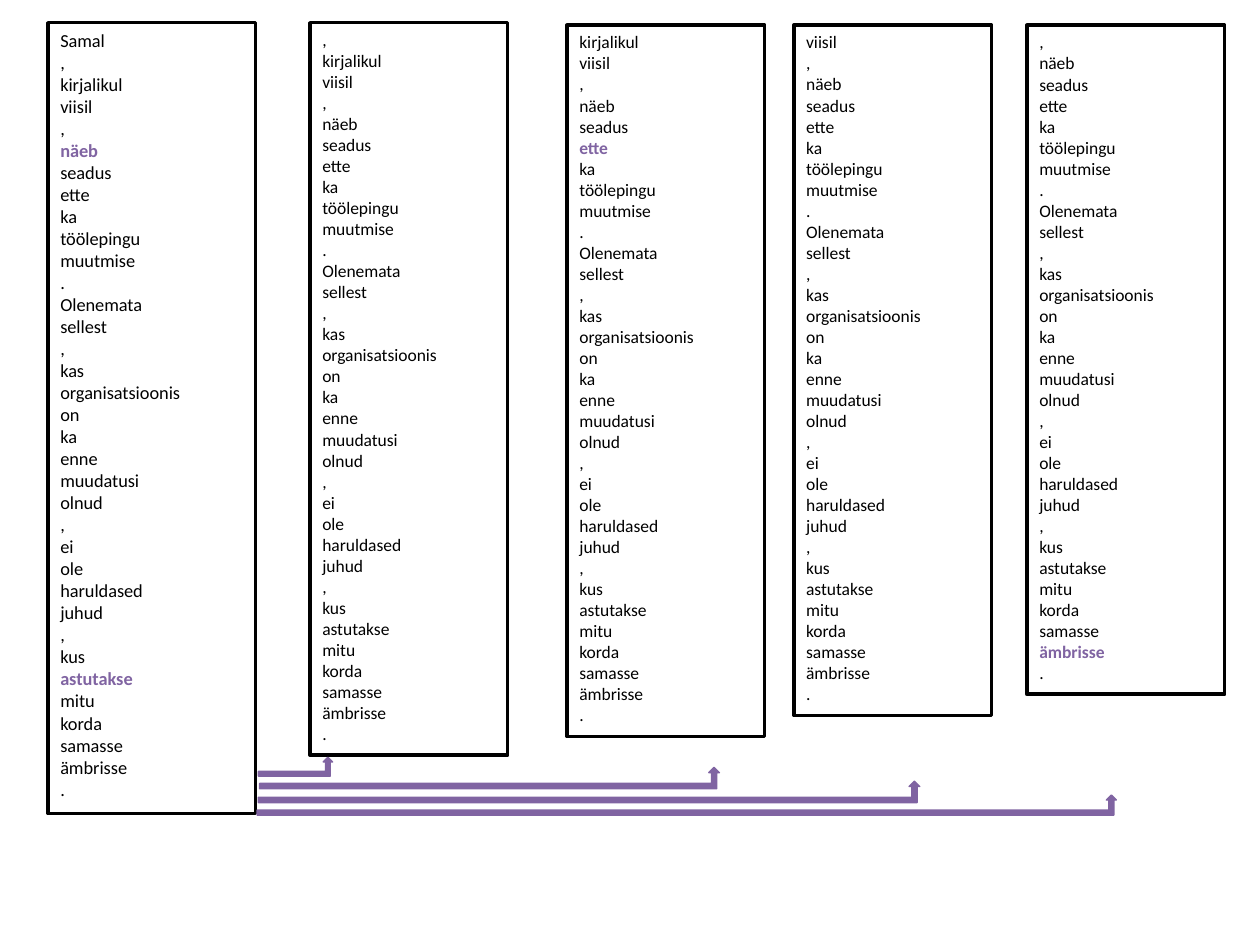
from pptx import Presentation
from pptx.dml.color import RGBColor
from pptx.enum.shapes import MSO_SHAPE as Shape
from pptx.enum.text import MSO_ANCHOR as Anchor, MSO_AUTO_SIZE as AutoSize, PP_ALIGN as Align
from pptx.util import Inches, Pt

BLACK, PURPLE = "000000", "8064A2"
LINE_SPACING = 1.21  # height of a Calibri line, as a share of the font size

WORDS = (
    "Samal , kirjalikul viisil , näeb seadus ette ka töölepingu muutmise . "
    "Olenemata sellest , kas organisatsioonis on ka enne muudatusi olnud , "
    "ei ole haruldased juhud , kus astutakse mitu korda samasse ämbrisse ."
).split()

# left and top in percent of the slide, width in percent, font size, marked words
COLUMNS = [
    (3.8, 2.4, 16.5, 10.5, {"näeb", "astutakse"}),
    (24.6, 2.4, 15.7, 10, set()),
    (45, 2.67, 15.7, 10, {"ette"}),
    (63, 2.67, 15.7, 10, set()),
    (81.5, 2.67, 15.7, 10, {"ämbrisse"}),
]
# left, top, width and height in percent of the slide
ARROWS = [
    (20.5, 80.13, 5.9, 2),
    (20.6, 81.2, 36.5, 2.27),
    (20.5, 82.67, 52.5, 2.27),
    (20.4, 84.13, 68.2, 2.13),
]


def color(value):
    return RGBColor.from_string(value)


presentation = Presentation()
presentation.slide_width, presentation.slide_height = Inches(10), Inches(7.5)
column = presentation.slide_width / 100
row = presentation.slide_height / 100
slide = presentation.slides.add_slide(presentation.slide_layouts[6])

# Each column drops one more word from the start of the sentence
for start, (left, top, width, size, marked) in enumerate(COLUMNS):
    words = WORDS[start:]
    height = len(words) * Pt(size) * LINE_SPACING + Inches(0.1)
    box = slide.shapes.add_shape(
        Shape.RECTANGLE, int(left * column), int(top * row), int(width * column), int(height)
    )
    box.shadow.inherit = False
    box.fill.background()
    box.line.color.rgb = color(BLACK)
    box.line.width = Pt(2)
    frame = box.text_frame
    frame.word_wrap = True
    frame.auto_size = AutoSize.SHAPE_TO_FIT_TEXT
    frame.vertical_anchor = Anchor.TOP
    for index, word in enumerate(words):
        paragraph = frame.add_paragraph() if index else frame.paragraphs[0]
        paragraph.text = word
        paragraph.alignment = Align.LEFT
        paragraph.font.name = "Calibri"
        paragraph.font.size = Pt(size)
        paragraph.font.bold = word in marked
        paragraph.font.color.rgb = color(PURPLE if word in marked else BLACK)

for left, top, width, height in ARROWS:
    arrow = slide.shapes.add_shape(
        Shape.BENT_UP_ARROW, int(left * column), int(top * row), int(width * column), int(height * row)
    )
    arrow.shadow.inherit = False
    arrow.fill.solid()
    arrow.fill.fore_color.rgb = color(PURPLE)
    arrow.line.color.rgb = color(PURPLE)
    arrow.line.width = Pt(0)

presentation.save("out.pptx")
